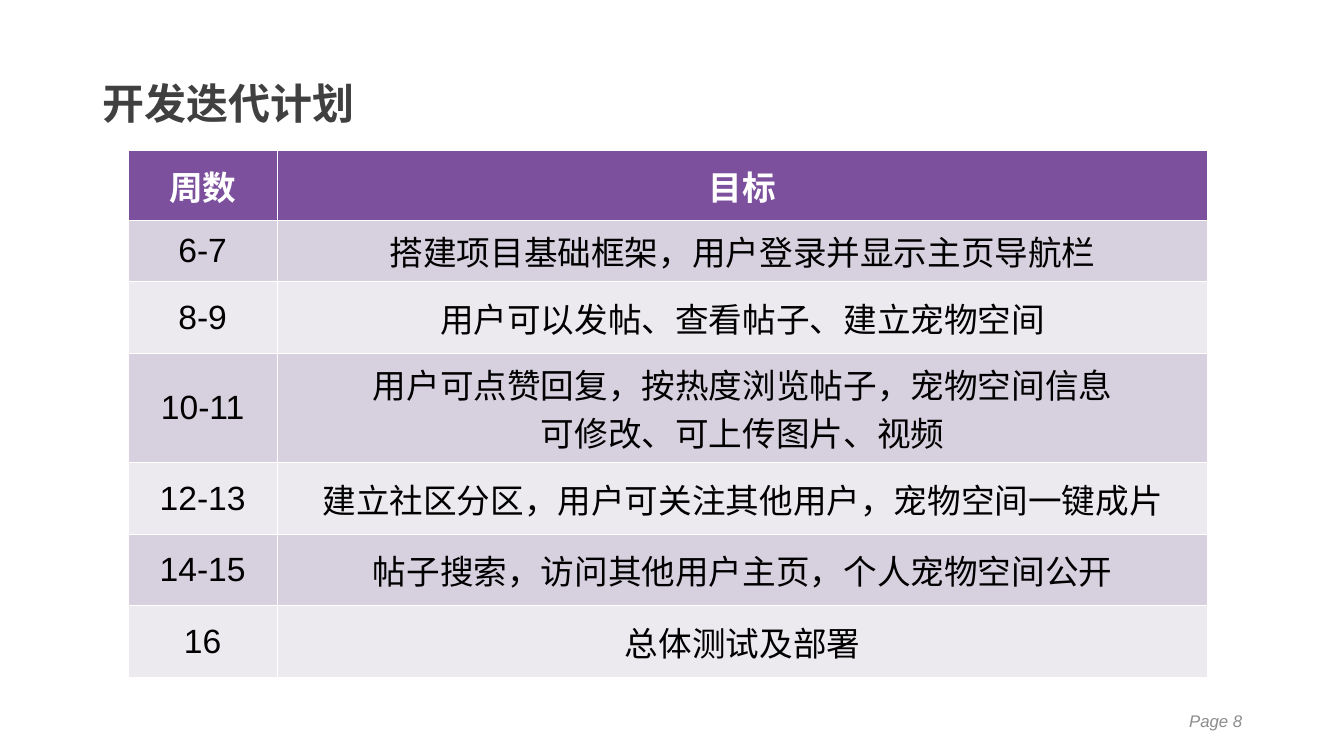
from lxml.etree import SubElement
from pptx import Presentation
from pptx.dml.color import RGBColor
from pptx.enum.text import MSO_ANCHOR, MSO_AUTO_SIZE, PP_ALIGN
from pptx.oxml.ns import qn
from pptx.util import Pt

PX = 9144  # 100 px to the inch
LATIN_FONT = "Arial"
CHINESE_FONT = "Noto Sans CJK SC"
DARK_GREY = RGBColor(0x40, 0x40, 0x40)
PAGE_GREY = RGBColor(0x8C, 0x8C, 0x8C)
WHITE = RGBColor(0xFF, 0xFF, 0xFF)
BLACK = RGBColor(0x00, 0x00, 0x00)
PURPLE = RGBColor(0x7C, 0x50, 0x9D)
BANDS = [RGBColor(0xEC, 0xE9, 0xEF), RGBColor(0xD7, 0xD0, 0xDF)]

PLAN = [
    ("周数", "目标", 70),
    ("6-7", "搭建项目基础框架，用户登录并显示主页导航栏", 59),
    ("8-9", "用户可以发帖、查看帖子、建立宠物空间", 71),
    ("10-11", "用户可点赞回复，按热度浏览帖子，宠物空间信息\n可修改、可上传图片、视频", 108),
    ("12-13", "建立社区分区，用户可关注其他用户，宠物空间一键成片", 71),
    ("14-15", "帖子搜索，访问其他用户主页，个人宠物空间公开", 71),
    ("16", "总体测试及部署", 71),
]
COLUMN_WIDTHS = [148, 923]


def style_paragraph(para, size, color, align, latin=LATIN_FONT):
    para.alignment = align
    para.font.size = Pt(size)
    para.font.color.rgb = color
    para.font.name = latin
    east_asian = SubElement(para.font._element, qn("a:ea"))
    east_asian.set("typeface", CHINESE_FONT)


deck = Presentation()
deck.slide_width, deck.slide_height = 1333 * PX, 750 * PX
page = deck.slides.add_slide(deck.slide_layouts[5])

title = page.shapes.title
title.left, title.top, title.width, title.height = 92 * PX, 73 * PX, 937 * PX, 64 * PX
title.text_frame.text = "开发迭代计划"
title.text_frame.auto_size = MSO_AUTO_SIZE.NONE
title.text_frame.vertical_anchor = MSO_ANCHOR.MIDDLE
heading = title.text_frame.paragraphs[0]
heading.line_spacing = 0.9
style_paragraph(heading, 30, DARK_GREY, PP_ALIGN.LEFT, CHINESE_FONT)
heading.font.bold = True

table_height = sum(height for _, _, height in PLAN)
table = page.shapes.add_table(
    len(PLAN), len(COLUMN_WIDTHS),
    127 * PX, 149 * PX, sum(COLUMN_WIDTHS) * PX, table_height * PX,
).table
for column, width in zip(table.columns, COLUMN_WIDTHS):
    column.width = width * PX

for row_number, (weeks, goal, height) in enumerate(PLAN):
    table.rows[row_number].height = height * PX
    is_header = row_number == 0
    for cell, text in zip(table.rows[row_number].cells, (weeks, goal)):
        cell.text = text
        cell.vertical_anchor = MSO_ANCHOR.MIDDLE
        cell.fill.solid()
        cell.fill.fore_color.rgb = PURPLE if is_header else BANDS[row_number % 2]
        if not is_header:
            cell.margin_left = cell.margin_right = 6 * PX
            cell.margin_top = cell.margin_bottom = 6 * PX
        for para in cell.text_frame.paragraphs:
            style_paragraph(para, 24, WHITE if is_header else BLACK, PP_ALIGN.CENTER)
            para.font.bold = is_header

page_box = page.shapes.add_textbox(942 * PX, 695 * PX, 300 * PX, 40 * PX)
page_box.text_frame.word_wrap = True
page_box.text_frame.vertical_anchor = MSO_ANCHOR.MIDDLE
page_box.text_frame.text = "Page 8"
page_label = page_box.text_frame.paragraphs[0]
style_paragraph(page_label, 12, PAGE_GREY, PP_ALIGN.RIGHT)
page_label.font.italic = True

deck.save("out.pptx")
